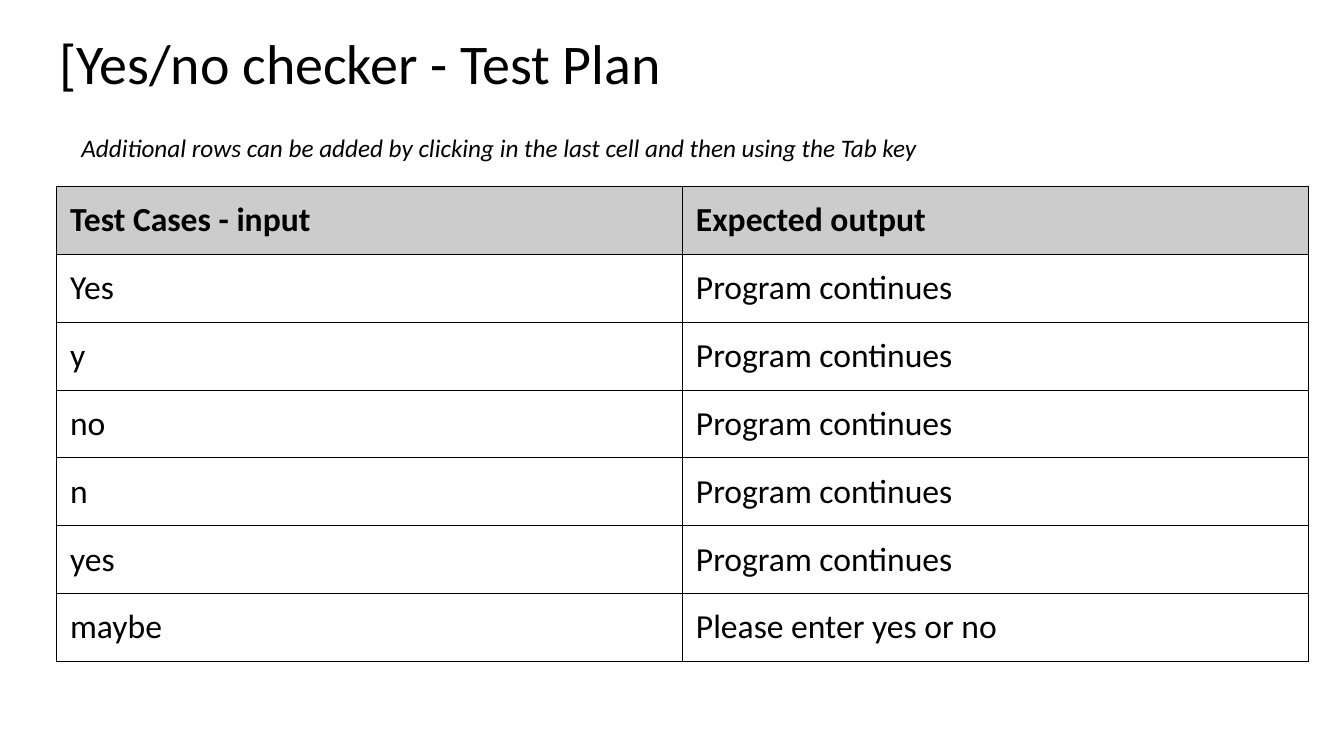
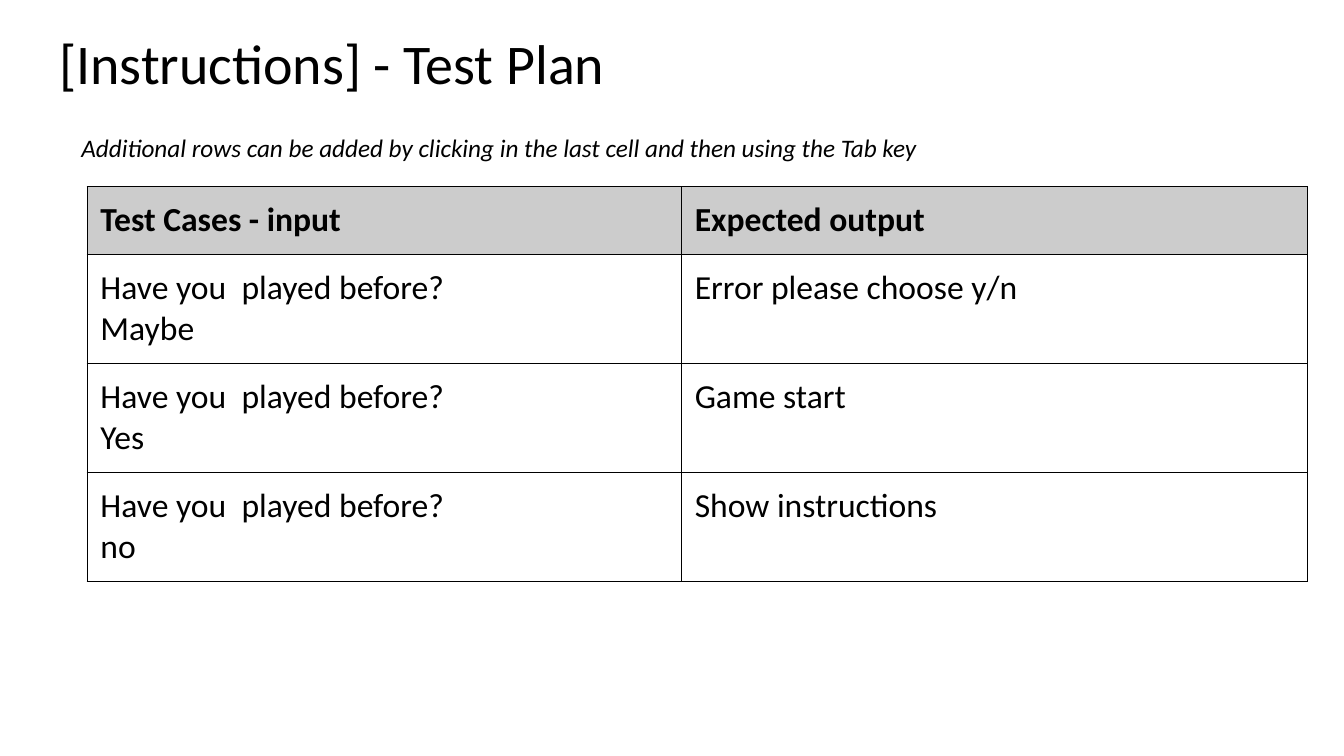
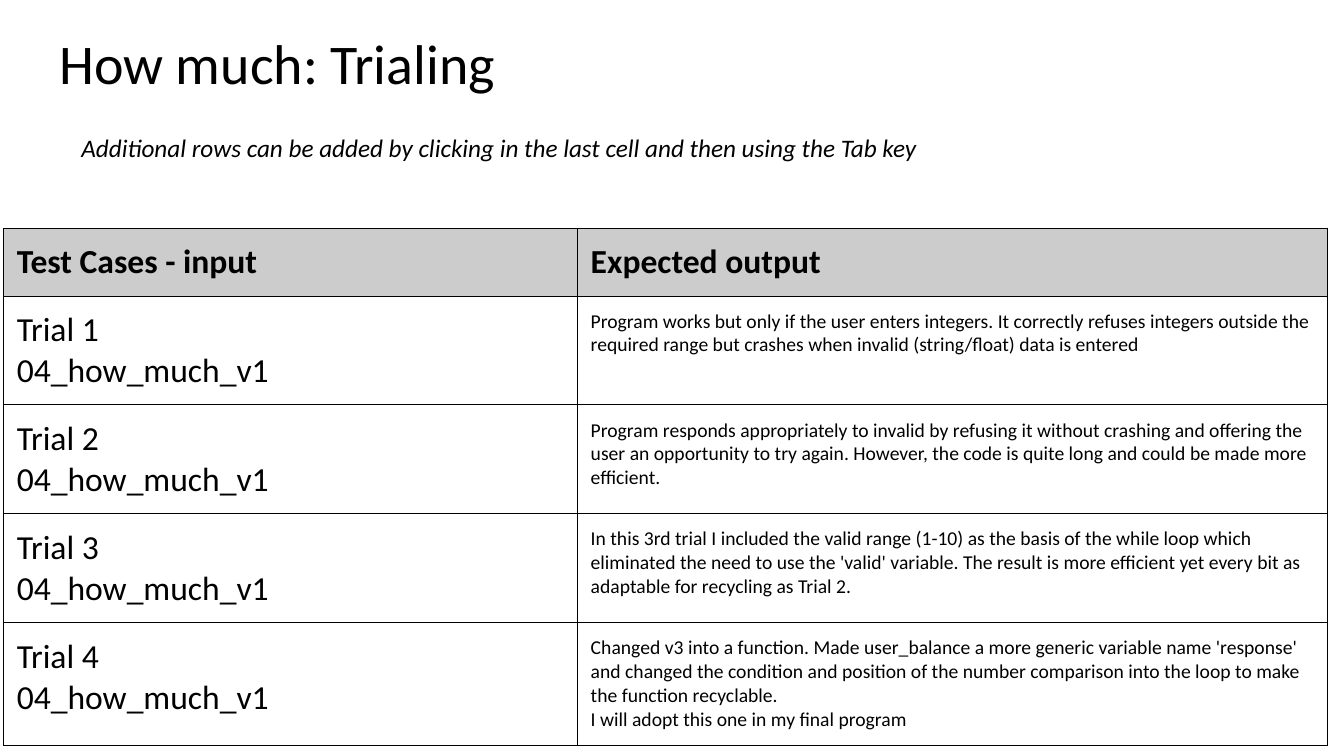
from lxml import etree
from pptx import Presentation
from pptx.dml.color import RGBColor
from pptx.enum import text
from pptx.oxml import ns
from pptx.util import Pt

COLORS = {"ink": "000000", "header": "CCCCCC", "paper": "FFFFFF"}
FONT = "Calibri"
INSET = Pt(9.6)
HEADINGS = ("Test Cases - input", "Expected output")
HINT = "Additional rows can be added by clicking in the last cell and then using the Tab key"
QUESTION = "Have you  played before?"
TRIAL_FILE = "04_how_much_v1"

SLIDES = [
    {
        "title": "[Yes/no checker - Test Plan",
        "left": 40.5, "top": 133.2, "columns": (447, 447),
        "row_heights": [48.5] * 6, "output_size": 24,
        "rows": [(answer, "Program continues") for answer in ("Yes", "y", "no", "n", "yes")]
        + [("maybe", "Please enter yes or no")],
    },
    {
        "title": "[Instructions] - Test Plan",
        "left": 62.2, "top": 133.2, "columns": (424.5, 447),
        "row_heights": [77.8] * 3, "output_size": 24,
        "rows": [
            (f"{QUESTION}\nMaybe", "Error please choose y/n"),
            (f"{QUESTION}\nYes", "Game start"),
            (f"{QUESTION}\nno", "Show instructions"),
        ],
    },
    {
        "title": "How much: Trialing",
        "left": 2.4, "top": 163, "columns": (410, 536),
        "row_heights": [77.8] * 3 + [87.4], "output_size": 14,
        "rows": [
            (f"Trial {number}\n{TRIAL_FILE}", finding)
            for number, finding in enumerate((
                "Program works but only if the user enters integers. It correctly refuses "
                "integers outside the required range but crashes when invalid (string/float) "
                "data is entered",
                "Program responds appropriately to invalid by refusing it without crashing and "
                "offering the user an opportunity to try again. However, the code is quite long "
                "and could be made more efficient.",
                "In this 3rd trial I included the valid range (1-10) as the basis of the while "
                "loop which eliminated the need to use the 'valid' variable. The result is more "
                "efficient yet every bit as adaptable for recycling as Trial 2.",
                "Changed v3 into a function. Made user_balance a more generic variable name "
                "'response' and changed the condition and position of the number comparison into "
                "the loop to make the function recyclable.\n"
                "I will adopt this one in my final program",
            ), start=1)
        ],
    },
]


def write(frame, content, size, bold=False, italic=False):
    """Fill a text frame, one paragraph a line, in the deck's font."""
    frame.text = content
    frame.word_wrap = True
    for paragraph in frame.paragraphs:
        paragraph.alignment = text.PP_ALIGN.LEFT
        font = paragraph.font
        font.name, font.size, font.bold, font.italic = FONT, Pt(size), bold, italic
        font.color.rgb = RGBColor.from_string(COLORS["ink"])


def add_borders(cell):
    properties = cell._tc.get_or_add_tcPr()
    for position, side in enumerate(("lnL", "lnR", "lnT", "lnB")):
        line = etree.Element(ns.qn(f"a:{side}"), w=str(Pt(0.75)))
        fill = etree.SubElement(line, ns.qn("a:solidFill"))
        etree.SubElement(fill, ns.qn("a:srgbClr"), val=COLORS["ink"])
        properties.insert(position, line)


presentation = Presentation()
presentation.slide_width, presentation.slide_height = Pt(960), Pt(540)
title_only = presentation.slide_layouts[5]

for plan in SLIDES:
    slide = presentation.slides.add_slide(title_only)

    title = slide.shapes.title
    title.left, title.top, title.width, title.height = Pt(32.7), Pt(17.5), Pt(894.5), Pt(60.1)
    frame = title.text_frame
    write(frame, plan["title"], 40)
    frame.auto_size = text.MSO_AUTO_SIZE.NONE
    frame.vertical_anchor = text.MSO_ANCHOR.MIDDLE
    frame.margin_left = frame.margin_right = frame.margin_top = frame.margin_bottom = INSET
    frame.paragraphs[0].line_spacing = 0.9

    rows = [HEADINGS] + plan["rows"]
    heights = [48.5] + plan["row_heights"]
    table = slide.shapes.add_table(
        len(rows), len(HEADINGS), Pt(plan["left"]), Pt(plan["top"]),
        Pt(sum(plan["columns"])), Pt(sum(heights)),
    ).table
    table.first_row = table.horz_banding = False
    for column, width in zip(table.columns, plan["columns"]):
        column.width = Pt(width)
    for row_index, (contents, height) in enumerate(zip(rows, heights)):
        table.rows[row_index].height = Pt(height)
        is_header = row_index == 0
        for column_index, content in enumerate(contents):
            cell = table.cell(row_index, column_index)
            size = 24 if is_header or column_index == 0 else plan["output_size"]
            write(cell.text_frame, content, size, bold=is_header)
            cell.margin_left = cell.margin_right = cell.margin_top = cell.margin_bottom = INSET
            add_borders(cell)
            cell.fill.solid()
            cell.fill.fore_color.rgb = RGBColor.from_string(COLORS["header" if is_header else "paper"])

    hint = slide.shapes.add_textbox(Pt(51), Pt(91), Pt(788), Pt(29))
    write(hint.text_frame, HINT, 18, italic=True)

presentation.save("out.pptx")
